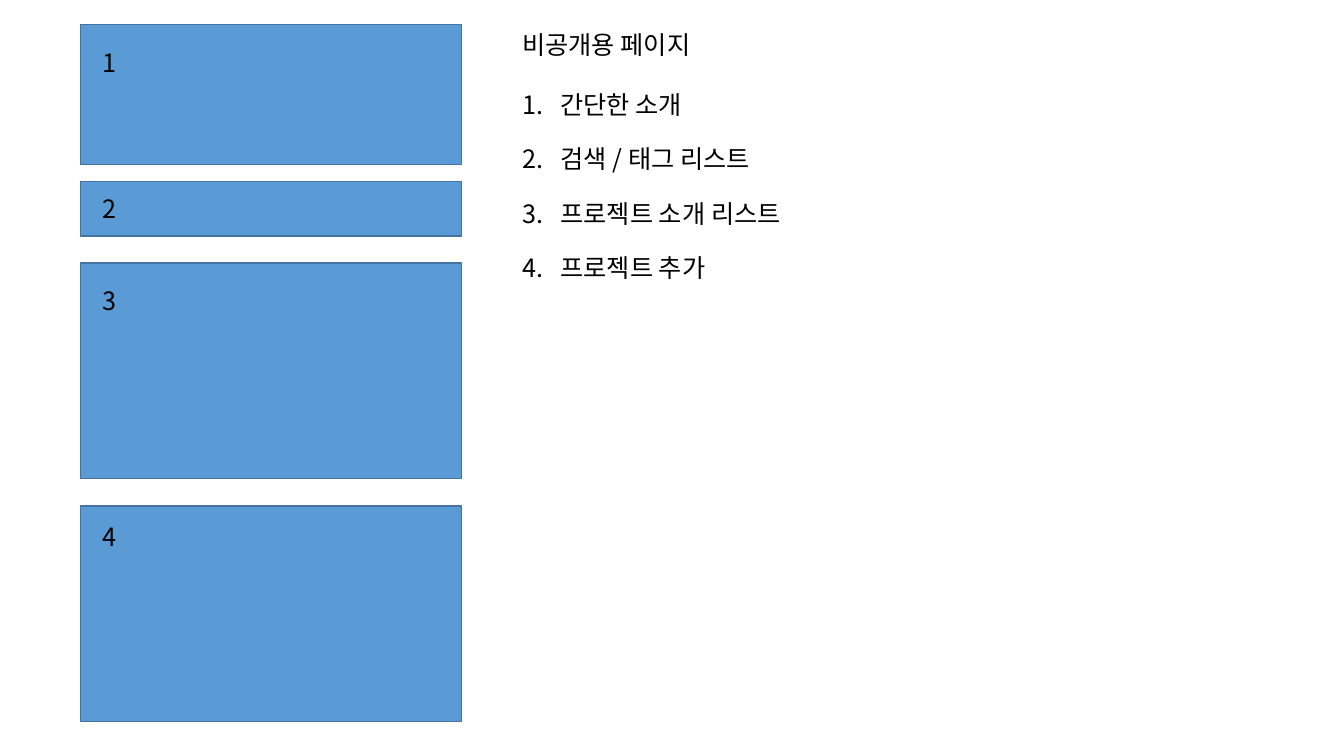
from dataclasses import dataclass

from lxml.etree import SubElement
from pptx import Presentation
from pptx.dml.color import RGBColor
from pptx.enum.shapes import MSO_SHAPE
from pptx.enum.text import MSO_ANCHOR, MSO_AUTO_SIZE as FIT, PP_ALIGN
from pptx.oxml.ns import qn
from pptx.util import Emu, Pt

FONT = "Noto Sans CJK KR"
BLACK, BLUE, EDGE = "000000", "5B9BD5", "43739E"
SECTION_X, SECTION_W = 80, 378
LABEL_X, LABEL_W, LABEL_H = 92, 36, 46
TEXT_X, TEXT_W = 508, 800
FRAME = {"word_wrap": True, "auto_size": FIT.SHAPE_TO_FIT_TEXT,
         "vertical_anchor": MSO_ANCHOR.TOP,
         "margin_left": Pt(7.2), "margin_right": Pt(7.2),
         "margin_top": Pt(3.6), "margin_bottom": Pt(3.6)}
PARAGRAPH = {"alignment": PP_ALIGN.LEFT, "line_spacing": 1.0,
             "space_before": Pt(0), "space_after": Pt(17)}


@dataclass(frozen=True)
class Section:
    top: int
    height: int
    label_top: int
    item: str


SECTIONS = [
    Section(24, 139, 42, "간단한 소개"),
    Section(180, 54, 187, "검색 / 태그 리스트"),
    Section(261, 214, 278, "프로젝트 소개 리스트"),
    Section(502, 214, 512, "프로젝트 추가"),
]


def px(n: int) -> Emu:
    return Emu(n * 9144)


def rgb(value: str) -> RGBColor:
    return RGBColor.from_string(value)


def assign(obj, values: dict) -> None:
    for name, value in values.items():
        setattr(obj, name, value)


def place(sp, x: int, y: int, w: int, h: int) -> None:
    assign(sp, {"left": px(x), "top": px(y), "width": px(w), "height": px(h)})


def write(sp, lines: list[str], numbered: bool = False) -> None:
    tf = sp.text_frame
    tf.text = "\n".join(lines)
    assign(tf, FRAME)
    for p in tf.paragraphs:
        assign(p, PARAGRAPH)
        if numbered:
            pPr = p._p.get_or_add_pPr()
            pPr.set("marL", str(px(38)))
            pPr.set("indent", str(-px(38)))
            SubElement(pPr, qn("a:buFont"), typeface="+mj-lt")
            SubElement(pPr, qn("a:buAutoNum"), type="arabicPeriod")
        for r in p.runs:
            r.font.color.rgb = rgb(BLACK)
            assign(r.font, {"size": Pt(18), "name": FONT})
            SubElement(r._r.get_or_add_rPr(), qn("a:ea"), typeface=FONT)
    tf.paragraphs[-1].space_after = Pt(0)


def draw_section(slide, section: Section) -> None:
    sp = slide.shapes.add_shape(
        MSO_SHAPE.RECTANGLE, px(SECTION_X), px(section.top),
        px(SECTION_W), px(section.height))
    sp.shadow.inherit = False
    sp.fill.solid()
    sp.fill.fore_color.rgb = rgb(BLUE)
    sp.line.color.rgb = rgb(EDGE)
    sp.line.width = Pt(1)


def draw_label(slide, section: Section, number: int) -> None:
    sp = slide.shapes.add_textbox(
        px(LABEL_X), px(section.label_top), px(LABEL_W), px(LABEL_H))
    write(sp, [str(number)])


def main() -> None:
    prs = Presentation()
    assign(prs, {"slide_width": px(1333), "slide_height": px(750)})
    slide = prs.slides.add_slide(prs.slide_layouts[1])
    title, body = slide.placeholders
    place(title, TEXT_X, 24, TEXT_W, 46)
    write(title, ["비공개용 페이지"])
    place(body, TEXT_X, 84, TEXT_W, 225)
    write(body, [section.item for section in SECTIONS], numbered=True)
    for section in SECTIONS:
        draw_section(slide, section)
    for number, section in enumerate(SECTIONS, 1):
        draw_label(slide, section, number)
    prs.save("out.pptx")


if __name__ == "__main__":
    main()
